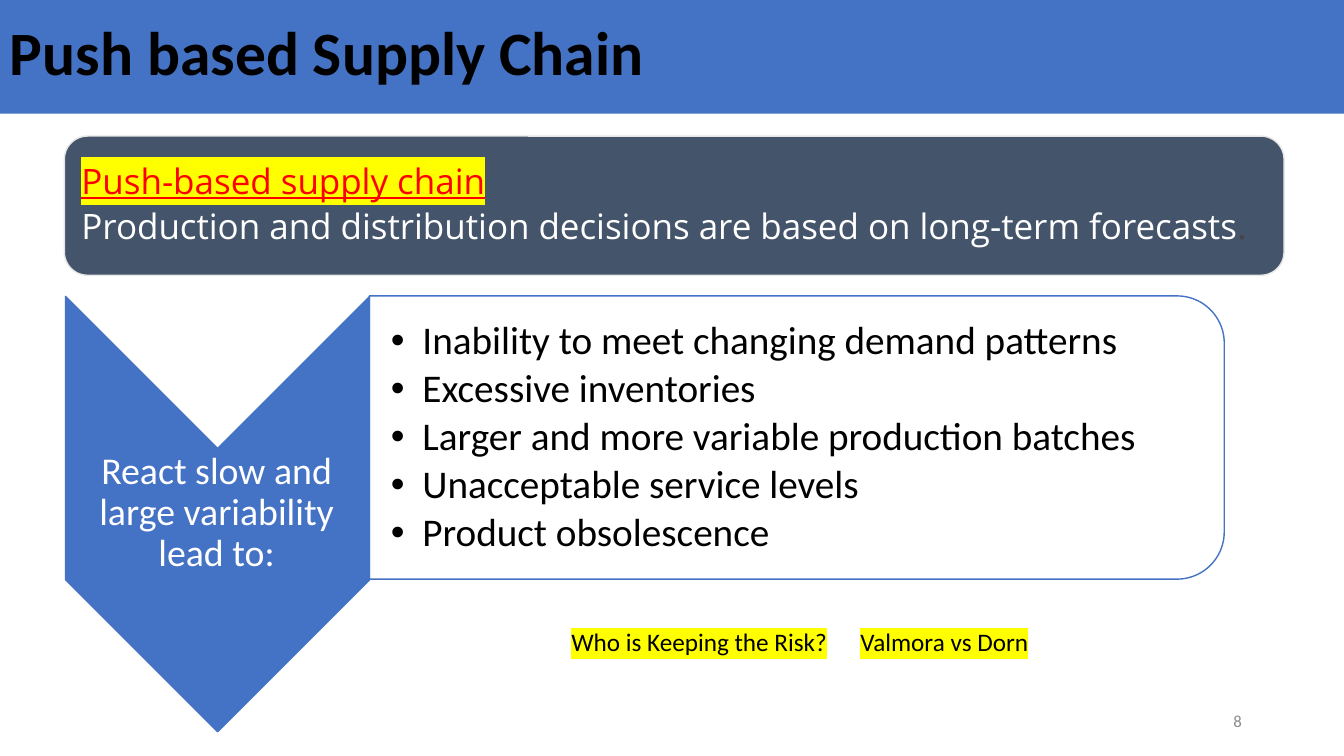
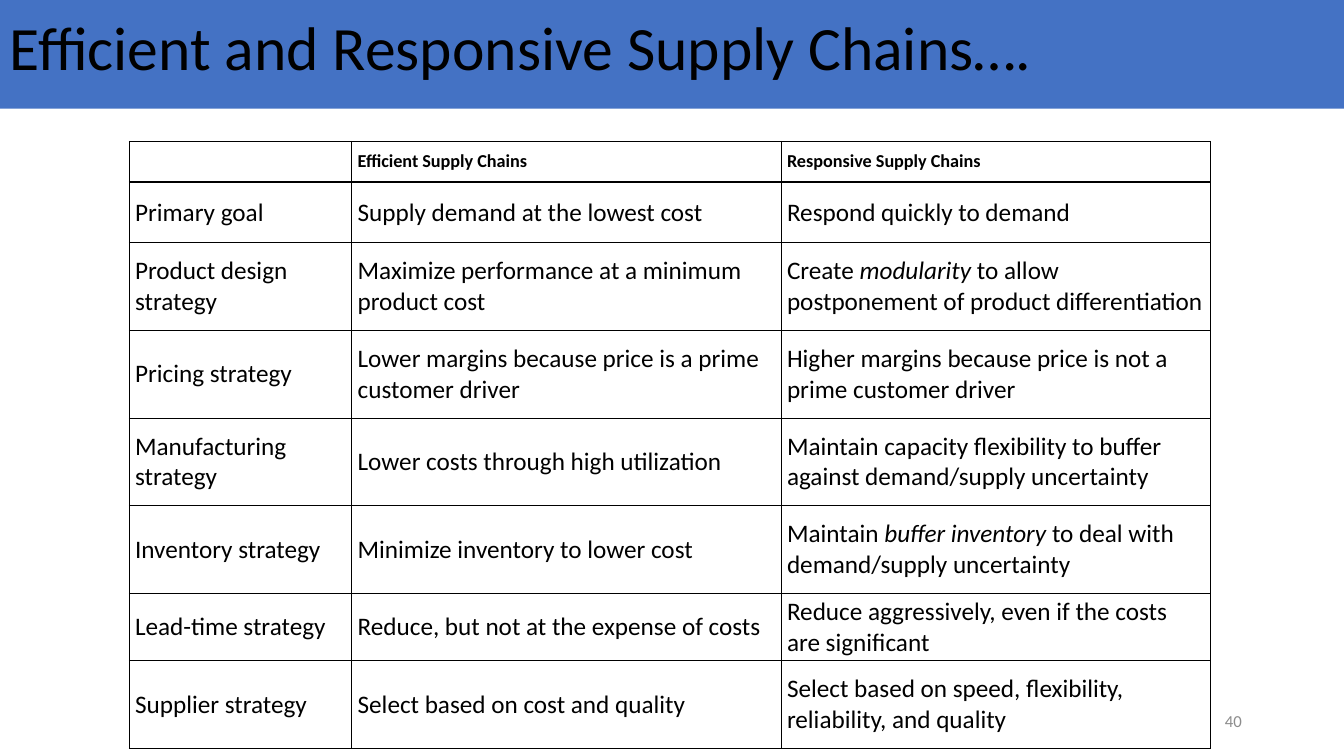
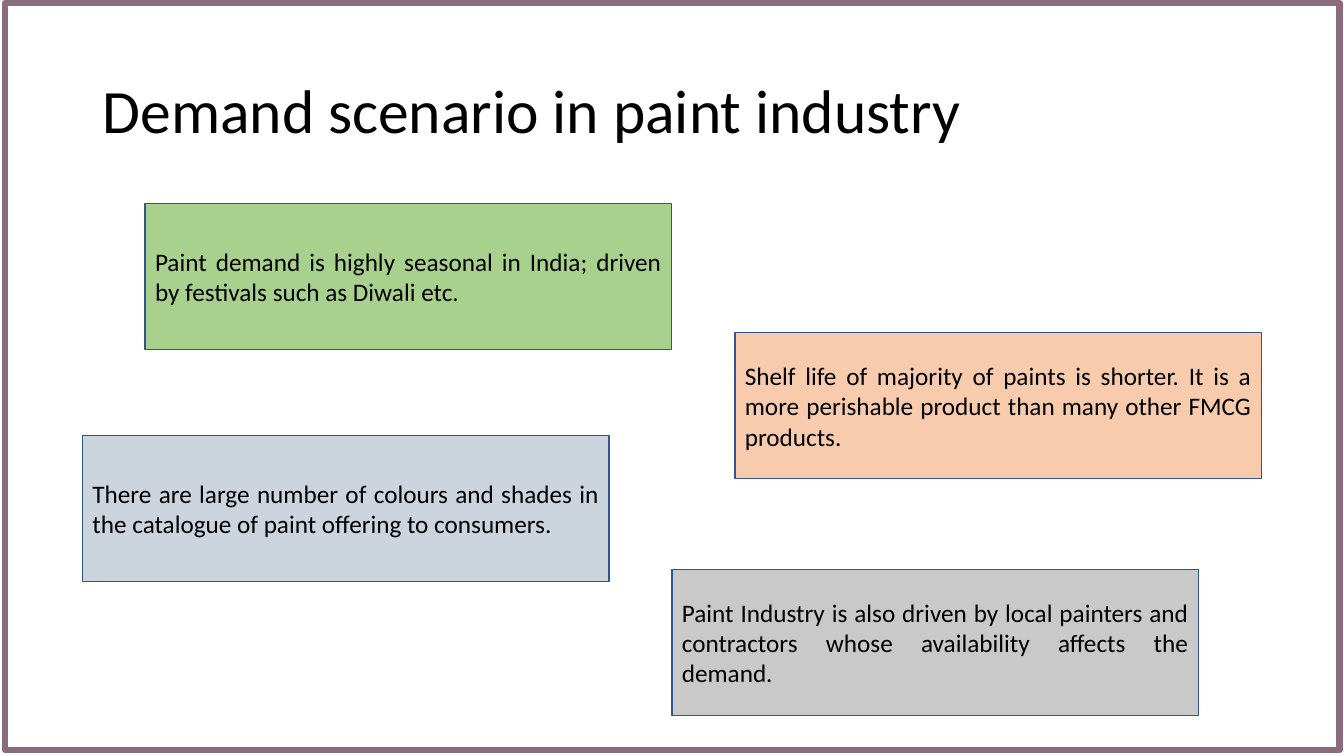
"""Build three slides on supply chain strategy and paint demand."""
from dataclasses import dataclass, field
from typing import Any, NamedTuple, Optional

from lxml import etree
from pptx import Presentation
from pptx import util as u
from pptx.dml.color import RGBColor
from pptx.enum import shapes, text
from pptx.oxml import ns

BLUE = RGBColor(0x44, 0x72, 0xC4)
SLATE = RGBColor(0x44, 0x54, 0x6A)
MIST = RGBColor(0xE7, 0xE6, 0xE6)
WHITE = RGBColor(0xFF, 0xFF, 0xFF)
BLACK = RGBColor(0x00, 0x00, 0x00)
RED = RGBColor(0xFF, 0x00, 0x00)
YELLOW = RGBColor(0xFF, 0xFF, 0x00)
CHARCOAL = RGBColor(0x44, 0x44, 0x44)
GREY = RGBColor(0x8C, 0x8C, 0x8C)
MAUVE = RGBColor(0x8B, 0x6C, 0x7C)
NAVY = RGBColor(0x32, 0x54, 0x91)
GREEN = RGBColor(0xA9, 0xD1, 0x8E)
PEACH = RGBColor(0xF8, 0xCB, 0xAD)
SILVER = RGBColor(0xC9, 0xC9, 0xC9)
PALE_BLUE = RGBColor(0xCC, 0xD4, 0xDE)

Kind = shapes.MSO_SHAPE
Align = text.PP_ALIGN
MIDDLE = text.MSO_ANCHOR.MIDDLE
TOP = text.MSO_ANCHOR.TOP
MARGINS = ("margin_left", "margin_top", "margin_right", "margin_bottom")
DEFAULT_INSETS = (7.2, 3.6, 7.2, 3.6)
TIGHT_INSETS = (1.4, 1.4, 1.4, 1.4)
CELL_INSETS = (4.3, 2.2, 4.3, 2.2)
THIN, RULE, HEAVY = 0.5, 0.67, 1.5


class Box(NamedTuple):
    left: float
    top: float
    width: float
    height: float

    def lengths(self) -> list[u.Length]:
        return [u.Pt(value) for value in self]


@dataclass(frozen=True)
class Span:
    words: str
    font: dict[str, Any] = field(default_factory=dict)
    color: Optional[RGBColor] = None
    highlight: Optional[RGBColor] = None


@dataclass(frozen=True)
class Style:
    size: float = 18
    color: RGBColor = BLACK
    face: str = "Calibri"
    bold: bool = False
    align: Any = Align.LEFT
    line_spacing: float = 1.0
    space_after: float = 0
    anchor: Any = MIDDLE
    insets: tuple[float, ...] = DEFAULT_INSETS
    bullet_indent: float = 0
    tab_stop: float = 0


@dataclass(frozen=True)
class Note:
    left: float
    top: float
    fill: RGBColor
    words: str


Line = list[Span]

BAND_TITLE = Style(size=44, line_spacing=0.9)
BOLD_TITLE = Style(size=44, line_spacing=0.9, bold=True)
PAGE_NUMBER = Style(size=12, color=GREY, align=Align.RIGHT)
ARROW_TEXT = Style(size=27, color=WHITE, align=Align.CENTER, line_spacing=0.9,
                   insets=TIGHT_INSETS)
EFFECTS_TEXT = Style(size=28, line_spacing=0.9, space_after=4,
                     insets=(15.8, 1.4, 1.4, 1.4), bullet_indent=22.5)
DEFINITION_TEXT = Style(size=25, color=WHITE, face="Open Sans", line_spacing=0.9,
                        space_after=5, insets=(7.2, 7.2, 7.2, 7.2))
QUESTION_TEXT = Style(anchor=TOP, tab_stop=206.5)
NOTE_TEXT = Style(align=Align.JUSTIFY)
HEADER_CELL = Style(size=13, bold=True, insets=CELL_INSETS)
BODY_CELL = Style(insets=CELL_INSETS)

EFFECTS = [
    "Inability to meet changing demand patterns",
    "Excessive inventories",
    "Larger and more variable production batches",
    "Unacceptable service levels",
    "Product obsolescence",
]

ITALIC = {"italic": True}
STRATEGIES: list[list[Line]] = [
    [[], [Span("Efficient Supply Chains")], [Span("Responsive Supply Chains")]],
    [[Span("Primary goal")], [Span("Supply demand at the lowest cost")],
     [Span("Respond quickly to demand")]],
    [[Span("Product design strategy")],
     [Span("Maximize performance at a minimum product cost")],
     [Span("Create "), Span("modularity", ITALIC),
      Span(" to allow postponement of product differentiation")]],
    [[Span("Pricing strategy")],
     [Span("Lower margins because price is a prime customer driver")],
     [Span("Higher margins because price is not a prime customer driver")]],
    [[Span("Manufacturing strategy")], [Span("Lower costs through high utilization")],
     [Span("Maintain capacity flexibility to buffer against demand/supply uncertainty")]],
    [[Span("Inventory strategy")], [Span("Minimize inventory to lower cost")],
     [Span("Maintain "), Span("buffer inventory ", ITALIC),
      Span("to deal with demand/supply uncertainty")]],
    [[Span("Lead-time strategy")], [Span("Reduce, but not at the expense of costs")],
     [Span("Reduce aggressively, even if the costs are significant")]],
    [[Span("Supplier strategy")], [Span("Select based on cost and quality")],
     [Span("Select based on speed, flexibility, reliability, and quality")]],
]
COLUMN_WIDTHS = (159, 306.7, 306.7)
ROW_HEIGHTS = (29.5, 43.2, 62.6, 62.6, 62.6, 62.6, 48.2, 62.6)

NOTES = [
    Note(103.7, 145.4, GREEN,
         "Paint demand is highly seasonal in India; driven by festivals such as Diwali etc."),
    Note(525, 237.6, PEACH,
         "Shelf life of majority of paints is shorter. It is a more perishable product "
         "than many other FMCG products."),
    Note(480, 406.8, SILVER,
         "Paint Industry is also driven by local painters and contractors whose "
         "availability affects the demand."),
    Note(59, 311, PALE_BLUE,
         "There are large number of colours and shades in the catalogue of paint "
         "offering to consumers."),
]
NOTE_SIZE = (376, 104.4)


def assign(target: Any, values: dict[str, Any]) -> None:
    for name, value in values.items():
        setattr(target, name, value)


def add_element(parent: Any, tag: str, **attributes: str) -> Any:
    return etree.SubElement(parent, ns.qn(tag), attributes)


def write_span(paragraph: Any, span: Span, style: Style) -> None:
    run = paragraph.add_run()
    run.text = span.words
    run.font.color.rgb = span.color or style.color
    assign(run.font, {"size": u.Pt(style.size), "name": style.face,
                      "bold": style.bold, **span.font})
    if span.highlight is not None:
        properties = run.font._element
        mark = add_element(properties, "a:highlight")
        add_element(mark, "a:srgbClr", val=str(span.highlight))
        properties.find(ns.qn("a:latin")).addprevious(mark)


def write_lines(frame: Any, lines: list[Line], style: Style) -> None:
    for index, line in enumerate(lines):
        paragraph = frame.add_paragraph() if index else frame.paragraphs[0]
        assign(paragraph, {"alignment": style.align, "line_spacing": style.line_spacing,
                           "space_after": u.Pt(style.space_after)})
        properties = paragraph._p.get_or_add_pPr()
        if style.bullet_indent:
            indent = u.Pt(style.bullet_indent)
            properties.set("marL", str(indent))
            properties.set("indent", str(-indent))
            add_element(properties, "a:buFont", typeface="Arial")
            add_element(properties, "a:buChar", char="•")
        if style.tab_stop:
            stops = add_element(properties, "a:tabLst")
            add_element(stops, "a:tab", pos=str(u.Pt(style.tab_stop)), algn="l")
        for span in line:
            write_span(paragraph, span, style)


def fill_frame(frame: Any, lines: list[Line], style: Style) -> None:
    insets = {name: u.Pt(inset) for name, inset in zip(MARGINS, style.insets)}
    assign(frame, {"word_wrap": True, "vertical_anchor": style.anchor, **insets})
    write_lines(frame, lines, style)


def add_text(slide: Any, box: Box, lines: list[Line], style: Style) -> None:
    fill_frame(slide.shapes.add_textbox(*box.lengths()).text_frame, lines, style)


def add_panel(slide: Any, kind: Any, box: Box, fill: Optional[RGBColor] = None,
              line: Optional[RGBColor] = None, line_width: float = 1,
              rotation: float = 0) -> Any:
    panel = slide.shapes.add_shape(kind, *box.lengths())
    panel.shadow.inherit = False
    panel.rotation = rotation
    if fill is None:
        panel.fill.background()
    else:
        panel.fill.solid()
        panel.fill.fore_color.rgb = fill
    if line is None:
        panel.line.fill.background()
    else:
        panel.line.color.rgb = line
        panel.line.width = u.Pt(line_width)
    return panel


def add_title_band(slide: Any, top: float, title: str, style: Style) -> None:
    band = add_panel(slide, Kind.RECTANGLE, Box(0, top, 960, 83.5), BLUE)
    fill_frame(band.text_frame, [[Span(title)]], style)


def add_page_number(slide: Any, number: int) -> None:
    add_text(slide, Box(678.2, 500.4, 216, 28.8), [[Span(str(number))]], PAGE_NUMBER)


def set_borders(cell: Any, top: float, bottom: float) -> None:
    properties = cell._tc.get_or_add_tcPr()
    widths = {"a:lnL": THIN, "a:lnR": THIN, "a:lnT": top, "a:lnB": bottom}
    for position, (tag, width) in enumerate(widths.items()):
        edge = add_element(properties, tag, w=str(u.Pt(width)))
        add_element(add_element(edge, "a:solidFill"), "a:srgbClr", val=str(BLACK))
        properties.insert(position, edge)


def build_push_slide(slide: Any) -> None:
    add_panel(slide, Kind.CHEVRON, Box(0, 258.5, 311, 217.4), BLUE, BLUE, rotation=90)
    add_text(slide, Box(46, 320.4, 217.4, 92.9),
             [[Span("React slow and large variability lead to:")]], ARROW_TEXT)
    effects = add_panel(slide, Kind.ROUND_2_SAME_RECTANGLE, Box(468, 7.2, 202.3, 610.6),
                        WHITE, BLUE, rotation=90)
    tint = effects._element.spPr.find(ns.qn("a:solidFill"))[0]
    add_element(tint, "a:alpha", val="90000")
    add_text(slide, Box(263.5, 221.8, 600.5, 182.2),
             [[Span(effect)] for effect in EFFECTS], EFFECTS_TEXT)
    add_page_number(slide, 8)
    add_title_band(slide, -2.2, "Push based Supply Chain", BOLD_TITLE)
    add_panel(slide, Kind.ROUNDED_RECTANGLE, Box(46, 97.2, 871.2, 99.4), SLATE, MIST)
    definition = [
        [Span("Push-based supply chain", {"underline": True}, RED, YELLOW)],
        [Span("Production and distribution decisions are based on long-term forecasts"),
         Span(".", color=CHARCOAL)],
    ]
    add_text(slide, Box(51.1, 102.2, 861.8, 89.3), definition, DEFINITION_TEXT)
    question = Span("Who is Keeping the Risk?\tValmora vs Dorn", highlight=YELLOW)
    add_text(slide, Box(401, 444.2, 483, 28.8), [[question]], QUESTION_TEXT)


def build_strategy_slide(slide: Any) -> None:
    add_page_number(slide, 40)
    add_title_band(slide, -5.8, "Efficient and Responsive Supply Chains….", BAND_TITLE)
    area = Box(92.2, 100.8, sum(COLUMN_WIDTHS), sum(ROW_HEIGHTS))
    table = slide.shapes.add_table(len(ROW_HEIGHTS), len(COLUMN_WIDTHS),
                                   *area.lengths()).table
    assign(table, {"first_row": False, "horz_banding": False})
    for column, width in zip(table.columns, COLUMN_WIDTHS):
        column.width = u.Pt(width)
    last = len(STRATEGIES) - 1
    for index, (row, height, entries) in enumerate(
            zip(table.rows, ROW_HEIGHTS, STRATEGIES)):
        row.height = u.Pt(height)
        style = BODY_CELL if index else HEADER_CELL
        top = {0: THIN, 1: HEAVY}.get(index, RULE)
        bottom = HEAVY if index in (0, last) else RULE
        for cell, line in zip(row.cells, entries):
            insets = {name: u.Pt(inset) for name, inset in zip(MARGINS, style.insets)}
            assign(cell, {"vertical_anchor": style.anchor, **insets})
            cell.fill.background()
            write_lines(cell.text_frame, [line], style)
            set_borders(cell, top, bottom)


def build_paint_slide(slide: Any) -> None:
    add_text(slide, Box(66.2, 28.8, 828, 104.4),
             [[Span("Demand scenario in paint industry")]], BAND_TITLE)
    add_panel(slide, Kind.RECTANGLE, Box(3.6, 2.2, 953.3, 533.5), line=MAUVE,
              line_width=4.5)
    for note in NOTES:
        card = add_panel(slide, Kind.RECTANGLE, Box(note.left, note.top, *NOTE_SIZE),
                         note.fill, NAVY)
        fill_frame(card.text_frame, [[Span(note.words)]], NOTE_TEXT)


def main() -> None:
    deck = Presentation()
    assign(deck, {"slide_width": u.Pt(960), "slide_height": u.Pt(540)})
    for build in (build_push_slide, build_strategy_slide, build_paint_slide):
        build(deck.slides.add_slide(deck.slide_layouts[6]))
    deck.save("out.pptx")


if __name__ == "__main__":
    main()
